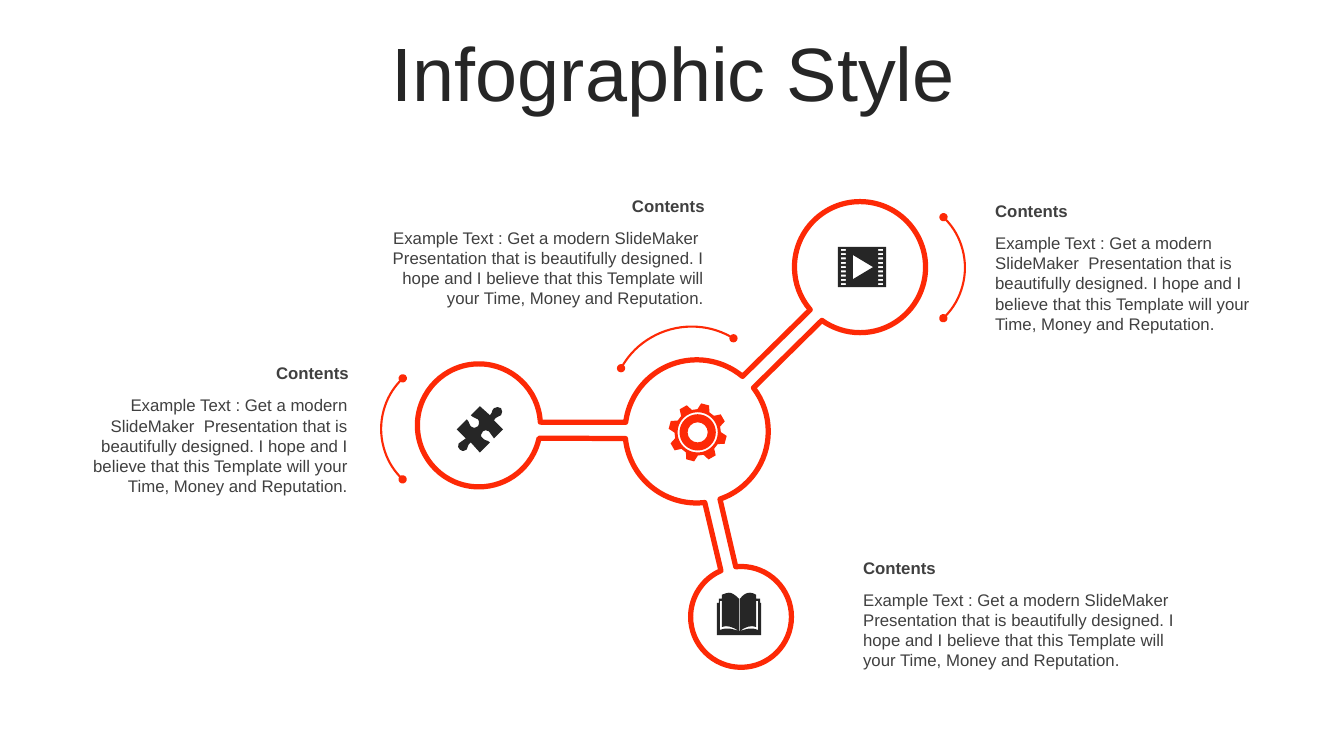
from math import ceil, cos, floor, radians, sin, tan

from pptx import Presentation
from pptx.dml.color import RGBColor
from pptx.enum.shapes import MSO_SHAPE as Shape
from pptx.enum.text import MSO_ANCHOR as Anchor, MSO_AUTO_SIZE as AutoSize, PP_ALIGN as Align
from pptx.oxml.ns import qn
from pptx.util import Inches, Pt

RED = RGBColor(0xFD, 0x29, 0x06)
DARK = RGBColor(0x26, 0x26, 0x26)
GREY = RGBColor(0x40, 0x40, 0x40)

EXAMPLE = ("Example Text : Get a modern SlideMaker  Presentation that is beautifully designed. "
           "I hope and I believe that this Template will your Time, Money and Reputation.")

# left, top, width, body height, alignment
CAPTIONS = [
    (9.75, 1.94, 2.78, 1.11, Align.LEFT),
    (3.68, 1.89, 3.43, 0.91, Align.RIGHT),
    (0.71, 3.55, 2.87, 1.11, Align.RIGHT),
    (8.44, 5.48, 3.36, 0.91, Align.LEFT),
]

# left, top, size, rotation
SIDE_ARCS = [
    (6.06, 3.24, 1.6, 300),
    (8.18, 1.96, 1.39, 45),
    (3.78, 3.56, 1.39, 225),
]

# Each circle is centre x, centre y, radius
VIDEO_CIRCLE = (8.53, 2.65, 0.65)
GEAR_CIRCLE = (6.91, 4.28, 0.71)
BOOK_CIRCLE = (7.35, 6.12, 0.5)
PUZZLE_CIRCLE = (4.75, 4.22, 0.61)

# Clockwise walk round the network: circle, start angle, end angle
NETWORK = [
    (VIDEO_CIRCLE, 139.4, 485.6),
    (GEAR_CIRCLE, -37.5, 71),
    (BOOK_CIRCLE, 264, 606.5),
    (GEAR_CIRCLE, 83.5, 174.3),
    (PUZZLE_CIRCLE, 12, 357),
    (GEAR_CIRCLE, 187.3, 309.8),
]

# Two numbers are a corner, six are a Bezier curve
PUZZLE = [
    (4.97, 4.05), (4.98, 4.07, 4.99, 4.1, 4.97, 4.12), (4.95, 4.14, 4.92, 4.13, 4.9, 4.17),
    (4.99, 4.26), (4.9, 4.35), (4.87, 4.33, 4.88, 4.3, 4.85, 4.28),
    (4.83, 4.26, 4.8, 4.27, 4.79, 4.28), (4.77, 4.3, 4.76, 4.33, 4.79, 4.35),
    (4.82, 4.38, 4.83, 4.36, 4.86, 4.39), (4.76, 4.49), (4.67, 4.39),
    (4.63, 4.42, 4.65, 4.43, 4.63, 4.46), (4.6, 4.48, 4.57, 4.48, 4.56, 4.46),
    (4.54, 4.45, 4.54, 4.42, 4.55, 4.4), (4.57, 4.37, 4.6, 4.38, 4.62, 4.35),
    (4.53, 4.26), (4.63, 4.16), (4.66, 4.19, 4.65, 4.21, 4.67, 4.23),
    (4.7, 4.25, 4.72, 4.25, 4.74, 4.23), (4.75, 4.22, 4.76, 4.18, 4.74, 4.16),
    (4.71, 4.14, 4.7, 4.15, 4.67, 4.12), (4.76, 4.03), (4.86, 4.12),
    (4.89, 4.09, 4.87, 4.08, 4.9, 4.05), (4.92, 4.03, 4.95, 4.04, 4.97, 4.05),
]
BOOK = [
    (7.33, 6.26), (7.34, 6.26), (7.41, 6.24, 7.44, 6.22, 7.52, 6.25), (7.52, 5.96),
    (7.5, 5.96), (7.5, 6.22), (7.45, 6.2, 7.39, 6.22, 7.34, 6.26), (7.34, 5.94),
    (7.37, 5.9, 7.4, 5.88, 7.44, 5.88), (7.46, 5.88, 7.48, 5.89, 7.5, 5.9), (7.5, 5.94),
    (7.54, 5.94), (7.54, 5.98), (7.55, 5.98), (7.55, 6.3), (7.11, 6.3), (7.11, 5.98),
    (7.13, 5.98), (7.13, 5.94), (7.16, 5.94), (7.16, 5.9),
    (7.19, 5.89, 7.21, 5.88, 7.23, 5.88), (7.26, 5.88, 7.29, 5.9, 7.33, 5.94),
    (7.33, 6.26), (7.27, 6.22, 7.21, 6.2, 7.16, 6.22), (7.16, 5.96), (7.14, 5.96),
    (7.14, 6.25), (7.22, 6.22, 7.26, 6.24, 7.33, 6.26),
]


def apply_format(target, values):
    for name, value in values.items():
        setattr(target, name, value)


def polar(x, y, radius, angle):
    return x + radius * cos(radians(angle)), y + radius * sin(radians(angle))


def arc_segments(circle, start=0, end=360):
    """Start point of a clockwise arc, then one Bezier curve per quadrant."""
    quadrants = range(floor(start / 90) + 1, ceil(end / 90))
    stops = [start, *(90 * quadrant for quadrant in quadrants), end]
    segments = [polar(*circle, start)]
    for first, last in zip(stops, stops[1:]):
        reach = circle[2] * 4 / 3 * tan(radians(last - first) / 4)
        before, after = polar(*circle, first), polar(*circle, last)
        segments.append((*polar(*before, reach, first + 90),
                         *polar(*after, reach, last - 90), *after))
    return segments


def rectangle_points(left, top, width, height):
    right, bottom = left + width, top + height
    return [(left, top), (right, top), (right, bottom), (left, bottom)]


def bend_line(element, segment, shape):
    """Turn a straight path element into the Bezier curve of the segment."""
    element.tag = qn("a:cubicBezTo")
    for index in (0, 1):
        x, y = segment[2 * index:2 * index + 2]
        point = element.makeelement(
            qn("a:pt"), {"x": str(Inches(x) - shape.left), "y": str(Inches(y) - shape.top)})
        element.insert(index, point)


def add_outline(slide, contours, fill=None, line=None, width=0):
    """Draw closed contours as one shape; inner contours become holes."""
    corners = [[tuple(map(Inches, segment[-2:])) for segment in contour] for contour in contours]
    builder = slide.shapes.build_freeform(*corners[0][0])
    for index, contour in enumerate(corners):
        if index:
            builder.move_to(*contour[0])
        builder.add_line_segments(contour[1:], close=True)
    shape = builder.convert_to_shape()
    segments = [segment for contour in contours for segment in contour[1:]]
    for element, segment in zip(list(shape._element.iter(qn("a:lnTo"))), segments):
        if len(segment) == 6:
            bend_line(element, segment, shape)
    shape.shadow.inherit = False
    for colour, part in ((fill, shape.fill), (line, shape.line.fill)):
        if colour is None:
            part.background()
        else:
            part.solid()
            part.fore_color.rgb = colour
    if line is not None:
        shape.line.width = Pt(width)


def add_network(slide):
    outline = [segment for arc in NETWORK for segment in arc_segments(*arc)]
    add_outline(slide, [outline], line=RED, width=3.75)


def add_side_arc(slide, left, top, size, rotation):
    shape = slide.shapes.add_shape(
        Shape.ARC, Inches(left), Inches(top), Inches(size), Inches(size))
    shape.adjustments[0], shape.adjustments[1] = 161.37, 0.75
    shape.rotation = rotation
    shape.shadow.inherit = False
    shape.fill.background()
    shape.line.color.rgb = RED
    shape.line.width = Pt(1.5)
    line = shape.line._get_or_add_ln()
    for end in ("a:headEnd", "a:tailEnd"):
        line.append(line.makeelement(qn(end), {"type": "oval"}))


def add_film(slide):
    frame = rectangle_points(8.31, 2.45, 0.48, 0.4)
    play = [(8.46, 2.53), (8.46, 2.77), (8.66, 2.65)]
    perforations = [rectangle_points(left, 2.47 + row * 0.34 / 8, 0.05, 0.02)
                    for left in (8.34, 8.71) for row in range(9)]
    add_outline(slide, [frame, play, *perforations], fill=DARK)


def add_gear(slide):
    centre = (6.92, 4.29)
    tooth = [(-15.5, 0.23), (-8, 0.29), (8, 0.29), (15.5, 0.23)]
    teeth = [polar(*centre, radius, -75 + 45 * i + offset)
             for i in range(8) for offset, radius in tooth]
    rings = [arc_segments((*centre, radius)) for radius in (0.2, 0.18, 0.1)]
    add_outline(slide, [teeth, *rings], fill=RED)


def add_text(slide, text, box, alignment, bold=False):
    frame = slide.shapes.add_textbox(*map(Inches, box)).text_frame
    apply_format(frame, {
        "word_wrap": True, "auto_size": AutoSize.SHAPE_TO_FIT_TEXT,
        "margin_left": Inches(0.12), "margin_right": Inches(0.12),
        "margin_top": Inches(0.05), "margin_bottom": Inches(0.05)})
    paragraph = frame.paragraphs[0]
    paragraph.text = text
    paragraph.alignment = alignment
    apply_format(paragraph.font, {"name": "Arial", "size": Pt(12), "bold": bold})
    paragraph.font.color.rgb = GREY


def add_caption(slide, left, top, width, height, alignment):
    add_text(slide, EXAMPLE, (left, top + 0.32, width - 0.01, height), alignment)
    add_text(slide, "Contents", (left, top, width, 0.3), alignment, bold=True)


def set_title(slide, text):
    title = slide.shapes.title
    apply_format(title, {"left": Inches(0.35), "top": Inches(0.37),
                         "width": Inches(12.66), "height": Inches(0.79)})
    apply_format(title.text_frame, {"vertical_anchor": Anchor.MIDDLE, "word_wrap": True,
                                    "auto_size": AutoSize.NONE})
    paragraph = title.text_frame.paragraphs[0]
    paragraph.text = text
    apply_format(paragraph, {"alignment": Align.CENTER, "line_spacing": 0.9,
                             "space_before": Pt(0)})
    apply_format(paragraph.font, {"name": "Arial", "size": Pt(54)})
    paragraph.font.color.rgb = DARK


def main():
    presentation = Presentation()
    presentation.slide_width, presentation.slide_height = Inches(13.33), Inches(7.5)
    slide = presentation.slides.add_slide(presentation.slide_layouts[5])
    set_title(slide, "Infographic Style")
    add_network(slide)
    for caption in CAPTIONS:
        add_caption(slide, *caption)
    for side_arc in SIDE_ARCS:
        add_side_arc(slide, *side_arc)
    add_film(slide)
    add_gear(slide)
    for icon in (PUZZLE, BOOK):
        add_outline(slide, [icon], fill=DARK)
    presentation.save("out.pptx")


if __name__ == "__main__":
    main()
